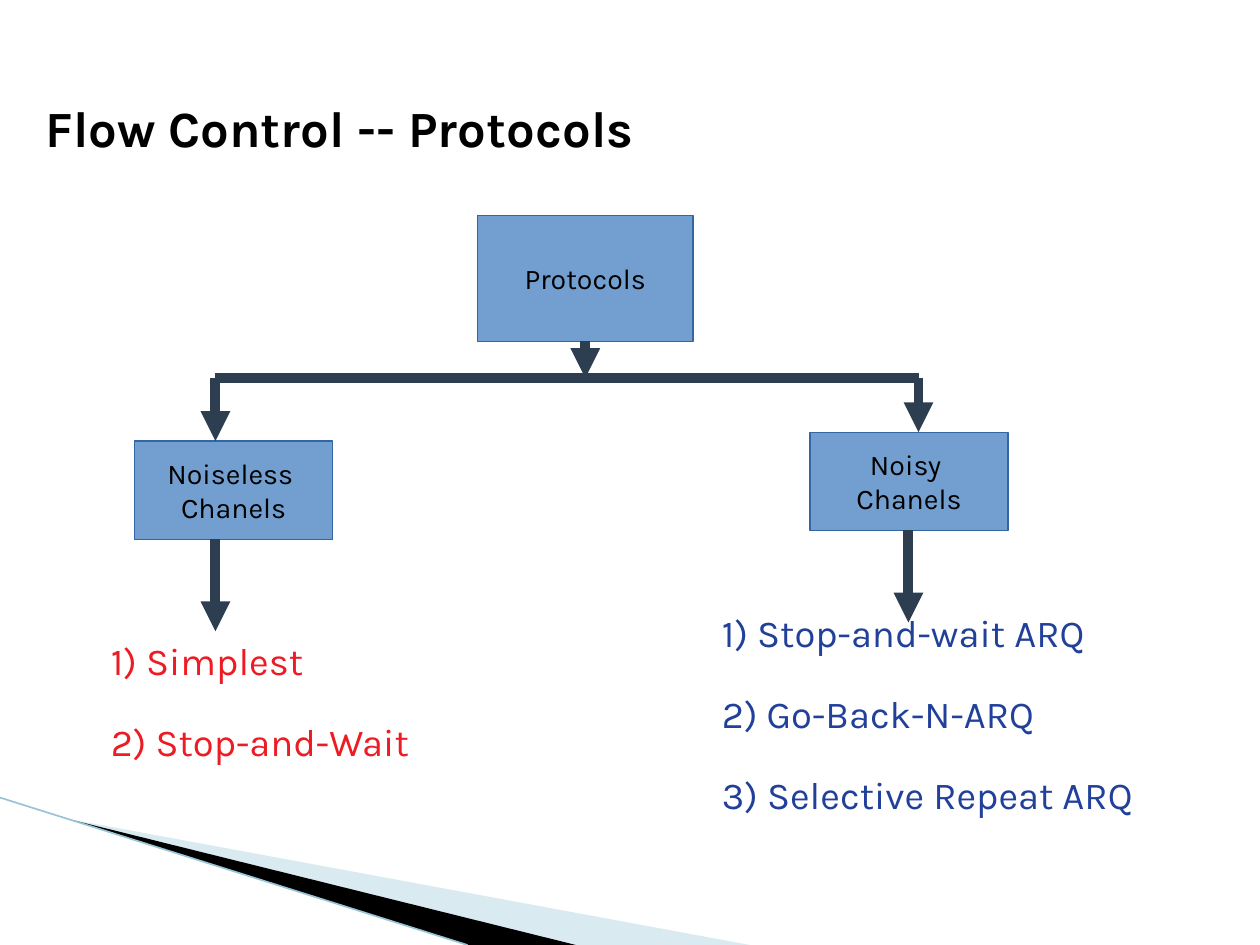
from lxml import etree
from pptx import Presentation
from pptx.dml.color import RGBColor
from pptx.enum.shapes import MSO_CONNECTOR, MSO_SHAPE
from pptx.enum.text import MSO_ANCHOR, PP_ALIGN
from pptx.oxml.ns import qn
from pptx.util import Inches, Pt

STRAIGHT = MSO_CONNECTOR.STRAIGHT
RECTANGLE = MSO_SHAPE.RECTANGLE
BOTTOM, MIDDLE = MSO_ANCHOR.BOTTOM, MSO_ANCHOR.MIDDLE
LEFT, CENTER = PP_ALIGN.LEFT, PP_ALIGN.CENTER

FONT = "Karla"
COLORS = {
    "text": "000000",
    "box": "729FCF",
    "box_edge": "3465A4",
    "arrow": "2C3E50",
    "noiseless": "ED1C24",
    "noisy": "21409A",
    "pale_wedge": "A0CBDC",
    "dark_wedge": "000000",
    "corner_line": "97C5D8",
}


def color(name):
    return RGBColor.from_string(COLORS[name])


def style_paragraph(paragraph, size, color_name, align=LEFT, bold=False):
    paragraph.alignment = align
    font = paragraph.font
    font.name, font.size, font.bold = FONT, Pt(size), bold
    font.color.rgb = color(color_name)


def set_margins(frame, horizontal, vertical):
    frame.margin_left = frame.margin_right = Inches(horizontal)
    frame.margin_top = frame.margin_bottom = Inches(vertical)


def add_line(slide, start, end, color_name="arrow", width=5.67, arrow=False):
    x1, y1, x2, y2 = (Inches(v) for v in (*start, *end))
    line = slide.shapes.add_connector(STRAIGHT, x1, y1, x2, y2)
    line.line.color.rgb = color(color_name)
    line.line.width = Pt(width)
    if arrow:
        etree.SubElement(line.line._get_or_add_ln(), qn("a:tailEnd"), type="triangle")
    etree.SubElement(line._element.spPr, qn("a:effectLst"))


def add_wedge(slide, points, color_name, opacity=100):
    corners = [(Inches(x), Inches(y)) for x, y in points]
    builder = slide.shapes.build_freeform(*corners[0])
    builder.add_line_segments(corners[1:])
    wedge = builder.convert_to_shape()
    wedge.shadow.inherit = False
    wedge.fill.solid()
    wedge.fill.fore_color.rgb = color(color_name)
    wedge.line.fill.background()
    if opacity < 100:
        tint = wedge._element.spPr.find(".//" + qn("a:srgbClr"))
        etree.SubElement(tint, qn("a:alpha"), val=str(opacity * 1000))


def add_corner(slide, left, top, bottom):
    """Decorative wedges that run from the left edge to the slide's bottom."""
    tip = (left + 0.54, top + 0.17)
    add_wedge(slide, [tip, (left + 5.95, bottom), (left + 4.56, bottom)],
              "pale_wedge", opacity=40)
    add_wedge(slide, [tip, (left + 4.57, bottom), (left + 3.72, bottom)], "dark_wedge")
    add_line(slide, (left, top), (left + 3.71, bottom), "corner_line", 0.95)


def set_title(slide, text, left, top, width, height):
    title = slide.shapes.title
    title.left, title.top = Inches(left), Inches(top)
    title.width, title.height = Inches(width), Inches(height)
    frame = title.text_frame
    frame.text = text
    frame.vertical_anchor = BOTTOM
    set_margins(frame, 0, 0)
    style_paragraph(frame.paragraphs[0], 29, "text", bold=True)


def add_node(slide, text, left, top, width, height):
    node = slide.shapes.add_shape(
        RECTANGLE, Inches(left), Inches(top), Inches(width), Inches(height))
    node.shadow.inherit = False
    node.fill.solid()
    node.fill.fore_color.rgb = color("box")
    node.line.color.rgb = color("box_edge")
    node.line.width = Pt(0.75)
    frame = node.text_frame
    frame.text = text
    frame.word_wrap = False
    frame.vertical_anchor = MIDDLE
    set_margins(frame, 0.09, 0.04)
    style_paragraph(frame.paragraphs[0], 16.3, "text", CENTER)


def add_protocol_list(slide, names, color_name, left, top, width, height):
    box = slide.shapes.add_textbox(
        Inches(left), Inches(top), Inches(width), Inches(height))
    frame = box.text_frame
    frame.word_wrap = True
    set_margins(frame, 0.09, 0.04)
    frame.text = "\n".join(f"{i}) {name}" for i, name in enumerate(names, 1))
    for paragraph in frame.paragraphs:
        style_paragraph(paragraph, 21.8, color_name)
        paragraph.space_after = Pt(20)


def add_branch(slide, label, names, color_name, node_at, list_at, stem_x, rail):
    """One channel type: arrow from the rail, its node, and its protocols."""
    left, top = node_at
    width, height = 1.57, 0.78
    rail_x, rail_y = rail
    bottom = top + height
    add_node(slide, label, left, top, width, height)
    add_protocol_list(slide, names, color_name, *list_at)
    add_line(slide, (stem_x, bottom), (stem_x, bottom + 0.73), arrow=True)
    add_line(slide, (rail_x, rail_y), (rail_x, top), arrow=True)


def add_tree(slide, left, top):
    """Protocol tree whose rail starts at left and whose root starts at top."""
    root_left, root_width, root_height = left + 2.08, 1.71, 1
    root_x, root_bottom = root_left + root_width / 2, top + root_height
    rail_y, rail_right = root_bottom + 0.29, left + 5.58
    add_node(slide, "Protocols", root_left, top, root_width, root_height)
    add_branch(slide, "Noiseless \vChanels", ["Simplest", "Stop-and-Wait"],
               "noiseless", (left - 0.64, top + 1.79),
               (left - 0.92, top + 3.31, 3.07, 1.4), left, (left, rail_y))
    add_branch(slide, "Noisy \vChanels",
               ["Stop-and-wait ARQ", "Go-Back-N-ARQ", "Selective Repeat ARQ"],
               "noisy", (left + 4.72, top + 1.72),
               (left + 3.93, top + 3.09, 4.07, 2.2), left + 5.5, (rail_right, rail_y))
    add_line(slide, (left, rail_y), (rail_right, rail_y))
    add_line(slide, (root_x, root_bottom), (root_x, rail_y), arrow=True)


def main():
    deck = Presentation()
    deck.slide_width, deck.slide_height = Inches(10), Inches(7.5)
    slide = deck.slides.add_slide(deck.slide_layouts[5])
    add_corner(slide, 0, 6.33, 7.5)
    set_title(slide, "Flow Control -- Protocols", 0.36, 0.36, 9.28, 0.89)
    add_tree(slide, 1.71, 1.71)
    deck.save("out.pptx")


if __name__ == "__main__":
    main()
